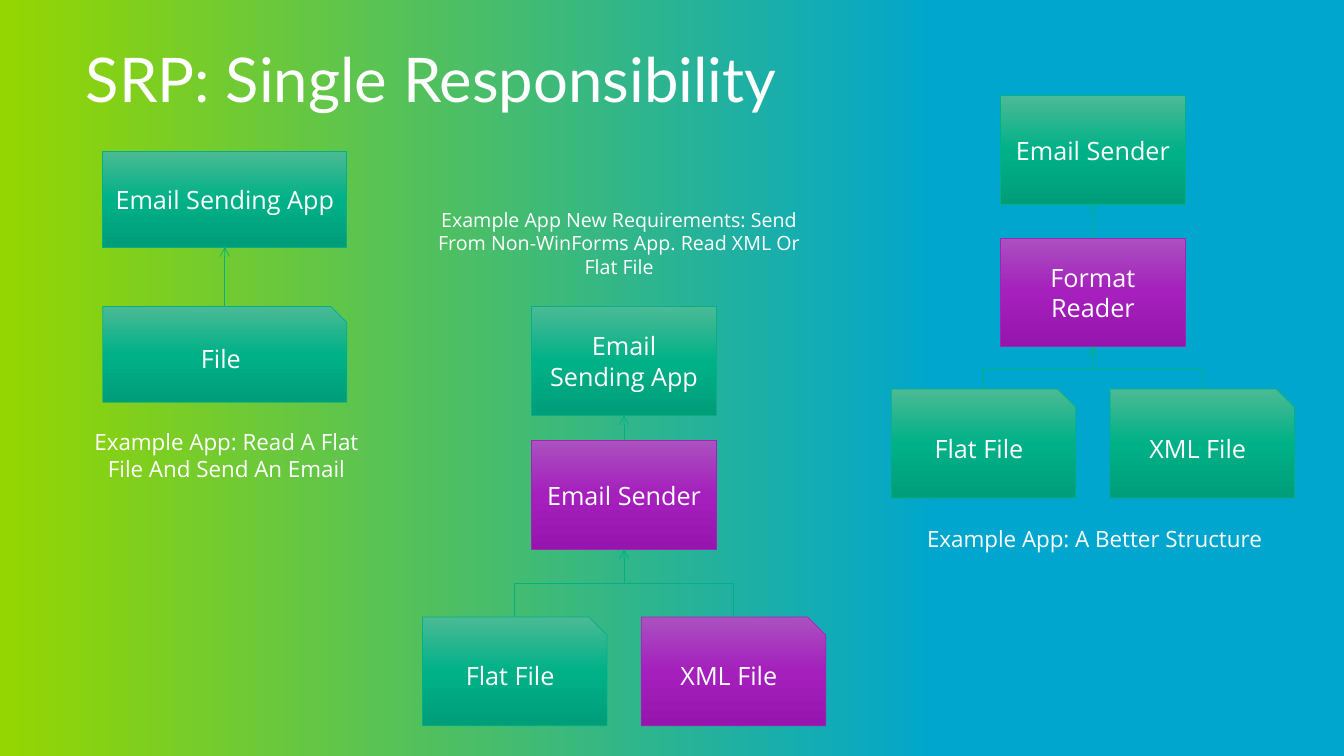
"""Builds the slide on the Single Responsibility Principle."""
from copy import deepcopy

from lxml import etree
from pptx import Presentation
from pptx import util as u
from pptx.dml.color import RGBColor
from pptx.enum import shapes, text
from pptx.oxml.ns import qn

COLOURS = {"text": "FFFFFF", "green": "00B188", "purple": "9F26B5"}
GRADIENTS = {
    "page": ((0, "00A6CE"), (0.3, "00A6CE"), (1, "95D600")),
    "green": ((0, "4BBA95"), (0.5, "00B188"), (1, "009D79")),
    "purple": ((0, "AB51C0"), (0.5, "A41FBC"), (1, "9615AE")),
}
RECT = shapes.MSO_SHAPE.RECTANGLE
SNIPPED = shapes.MSO_SHAPE.SNIP_1_RECTANGLE
LINE_WIDTH = u.Pt(0.5)
TREE_WIDTH, NODE_WIDTH, NODE_HEIGHT = 4.0, 1.83, 1.08


def colour(name):
    """Return the colour with the given name."""
    return RGBColor.from_string(COLOURS[name])


def paint_gradient(fill, element, name, angle):
    """Give a fill a named three-stop gradient."""
    fill.gradient()
    fill.gradient_angle = angle
    stop_list = element.xpath(".//a:gsLst")[0]
    stop_list.append(deepcopy(stop_list[0]))
    for stop, (position, shade) in zip(fill.gradient_stops, GRADIENTS[name]):
        stop.position = position
        stop.color.rgb = RGBColor.from_string(shade)


def write(frame, wording, size, font="Open Sans", align=text.PP_ALIGN.CENTER):
    """Set the wording of a text frame and format it."""
    frame.word_wrap = True
    frame.text = wording
    paragraph = frame.paragraphs[0]
    paragraph.alignment = align
    run_font = paragraph.runs[0].font
    run_font.name, run_font.size = font, u.Pt(size)
    run_font.color.rgb = colour("text")


def add_title(slide, wording, box):
    """Place and format the title."""
    title = slide.shapes.title
    title.left, title.top, title.width, title.height = map(u.Inches, box)
    write(title.text_frame, wording, 44, "Lato", text.PP_ALIGN.LEFT)
    title.text_frame.vertical_anchor = text.MSO_ANCHOR.MIDDLE
    title.text_frame.paragraphs[0].line_spacing = 0.9


def add_caption(slide, wording, size, box):
    """Add the caption of one example."""
    frame = slide.shapes.add_textbox(*map(u.Inches, box)).text_frame
    write(frame, wording, size)
    frame.margin_left = 0


def add_node(slide, wording, kind, tone, box):
    """Add one component or file."""
    node = slide.shapes.add_shape(kind, *map(u.Inches, box))
    node.shadow.inherit = False
    paint_gradient(node.fill, node._element.spPr, tone, 270)
    node.line.color.rgb = colour(tone)
    node.line.width = LINE_WIDTH
    write(node.text_frame, wording, 18)
    node.text_frame.vertical_anchor = text.MSO_ANCHOR.MIDDLE
    return node


def add_arrow(slide, kind, start, end):
    """Add a thin green arrow between two points."""
    arrow = slide.shapes.add_connector(kind, *start, *end)
    arrow.line.color.rgb = colour("green")
    arrow.line.width = LINE_WIDTH
    etree.SubElement(arrow.line._get_or_add_ln(), qn("a:tailEnd"), type="arrow")
    etree.SubElement(arrow._element.spPr, qn("a:effectLst"))
    return arrow


def top_middle(node):
    """Return the middle of a node's upper side."""
    return node.left + node.width // 2, node.top


def bottom_middle(node):
    """Return the middle of a node's lower side."""
    return node.left + node.width // 2, node.top + node.height


def join_straight(slide, lower, upper):
    """Point a vertical arrow from a node to the one above it."""
    arrow = add_arrow(slide, shapes.MSO_CONNECTOR.STRAIGHT, top_middle(lower), bottom_middle(upper))
    if lower.auto_shape_type == RECT:
        arrow.begin_connect(lower, 0)
    arrow.end_connect(upper, 2)


def join_elbow(slide, lower, upper):
    """Point an elbow arrow up from a file to the component above it."""
    (x1, y1), (x2, y2) = top_middle(lower), bottom_middle(upper)
    centre_x, centre_y = (x1 + x2) // 2, (y1 + y2) // 2
    half_run, half_rise = abs(x2 - x1) // 2, (y1 - y2) // 2
    side = 1 if x1 < x2 else -1
    arrow = add_arrow(slide, shapes.MSO_CONNECTOR.ELBOW,
                      (centre_x + side * half_rise, centre_y + half_run),
                      (centre_x - side * half_rise, centre_y - half_run))
    turn = 90 if side > 0 else 270
    arrow._element.spPr.find(qn("a:xfrm")).set("rot", str(turn * 60000))


def add_pair(slide, box):
    """Add the first example: an application above its file."""
    left, top, width, height = box
    node_height = 0.95
    app = add_node(slide, "Email Sending App", RECT, "green", (left, top, width, node_height))
    file = add_node(slide, "File", SNIPPED, "green",
                    (left, top + height - node_height, width, node_height))
    join_straight(slide, file, app)


def add_tree(slide, left, tops, components, files):
    """Add two stacked components above two files."""
    inset = (TREE_WIDTH - NODE_WIDTH) / 2
    upper, lower = [
        add_node(slide, wording, RECT, tone, (left + inset, top, NODE_WIDTH, NODE_HEIGHT))
        for (wording, tone), top in zip(components, tops)]
    join_straight(slide, lower, upper)
    for column, (wording, tone) in enumerate(files):
        file = add_node(slide, wording, SNIPPED, tone,
                        (left + column * 2 * inset, tops[-1], NODE_WIDTH, NODE_HEIGHT))
        join_elbow(slide, file, lower)


def main():
    """Build and save the slide."""
    deck = Presentation()
    deck.slide_width, deck.slide_height = u.Inches(13.33), u.Inches(7.5)
    slide = deck.slides.add_slide(deck.slide_layouts.get_by_name("Title Only"))
    paint_gradient(slide.background.fill, slide._element, "page", 180)
    add_title(slide, "SRP: Single Responsibility", (0.75, 0.44, 11.83, 0.75))

    add_pair(slide, (1.02, 1.5, 2.42, 2.49))
    add_caption(slide, "Example App: Read A Flat File And Send An Email", 16,
                (0.79, 4.2, 3.01, 0.75))

    add_tree(slide, 4.19, (3.04, 4.37, 6.12),
             (("Email Sending App", "green"), ("Email Sender", "purple")),
             (("Flat File", "green"), ("XML File", "purple")))
    add_caption(slide, "Example App New Requirements: Send From Non-WinForms App. "
                "Read XML Or Flat File", 14, (4.32, 2.01, 3.74, 0.98))

    add_tree(slide, 8.84, (0.95, 2.36, 3.86),
             (("Email Sender", "green"), ("Format Reader", "purple")),
             (("Flat File", "green"), ("XML File", "green")))
    add_caption(slide, "Example App: A Better Structure", 16, (9.11, 5.16, 3.59, 0.41))

    deck.save("out.pptx")


if __name__ == "__main__":
    main()
